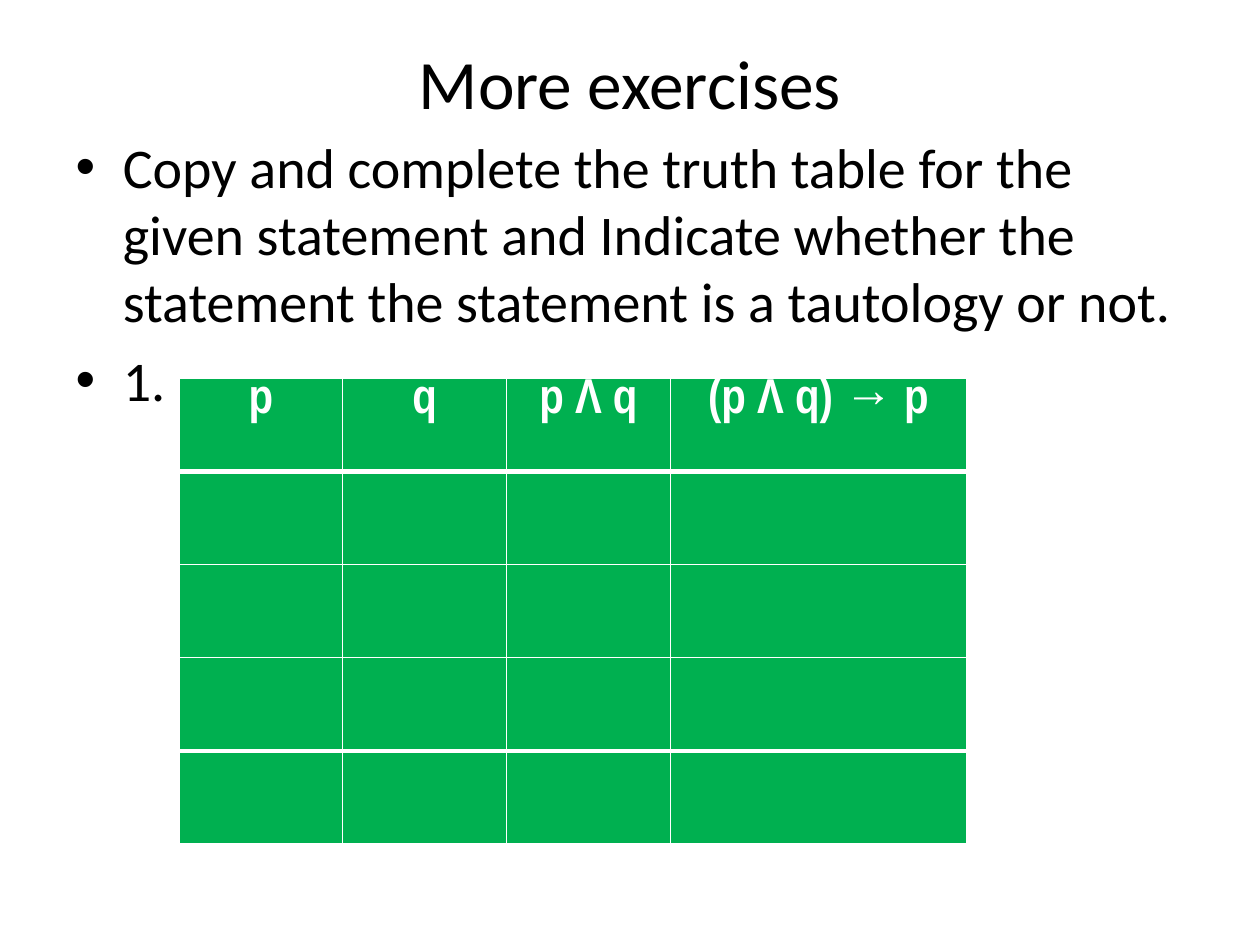
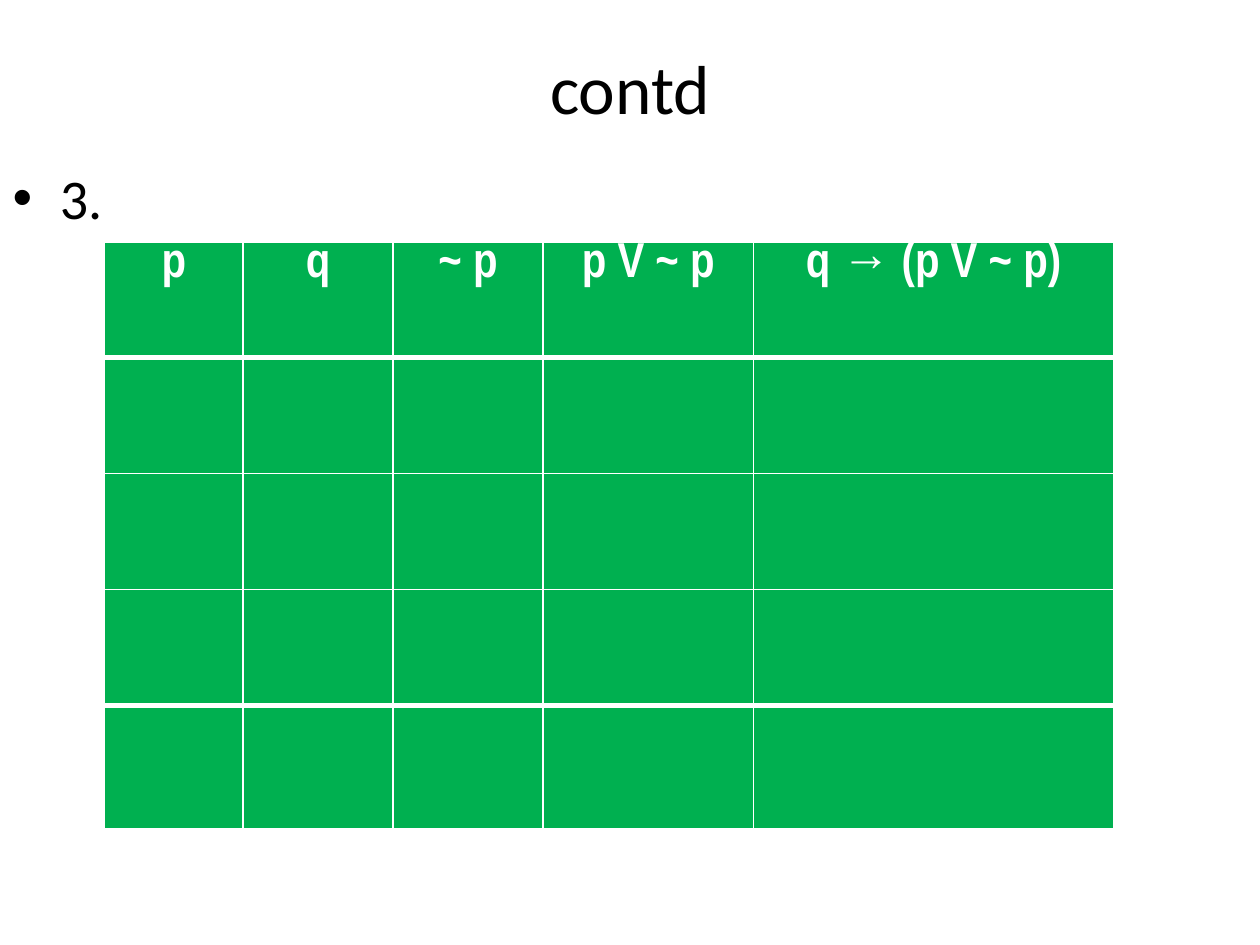
from lxml import etree
from pptx import Presentation
from pptx.dml.color import RGBColor
from pptx.enum.text import MSO_ANCHOR as Anchor, MSO_AUTO_SIZE as AutoSize, PP_ALIGN as Align
from pptx.oxml.ns import qn
from pptx.util import Inches, Pt

BLACK, WHITE, GREEN = "000000", "FFFFFF", "00B050"
ROW_COUNT = 5
THIN, THICK = 1, 3

EXERCISES = [
    {
        "title": "More exercises",
        "title_box": (0.5, 0.3, 9, 0.7),
        "bullets": [
            "Copy and complete the truth table for the given statement and "
            "Indicate whether the statement the statement is a tautology or not.",
            "1.",
        ],
        "body_box": (0.5, 1, 9, 5.7),
        "table_corner": (1.42, 3),
        "headings": ["p", "q", "p Λ q", "(p Λ q) → p"],
        "column_widths": [1.3, 1.3, 1.3, 2.35],
        "row_heights": [0.74] * ROW_COUNT,
    },
    {
        "title": "contd",
        "title_box": (0.5, 0.3, 9, 0.78),
        "bullets": ["3."],
        "body_box": (0, 1.25, 10, 6.25),
        "table_corner": (0.83, 1.92),
        "headings": ["p", "q", "~ p", "p V ~ p", "q → (p V ~ p)"],
        "column_widths": [1.1, 1.19, 1.19, 1.67, 2.86],
        "row_heights": [0.92] * (ROW_COUNT - 1) + [0.98],
    },
]


def write(paragraph, text, size, font="Calibri", color=BLACK, bold=False, align=None):
    paragraph.alignment = align
    run = paragraph.add_run()
    run.text = text
    run.font.size = Pt(size)
    run.font.name = font
    run.font.bold = bold
    run.font.color.rgb = RGBColor.from_string(color)


def add_border(cell, side, width):
    """Draw one side (L, R, T or B) of a cell in white."""
    properties = cell._tc.get_or_add_tcPr()
    line = etree.SubElement(properties, qn(f"a:ln{side}"), w=str(Pt(width)))
    fill = etree.SubElement(line, qn("a:solidFill"))
    etree.SubElement(fill, qn("a:srgbClr"), val=WHITE)


presentation = Presentation()
presentation.slide_width = Inches(10)
presentation.slide_height = Inches(7.5)
title_and_content = presentation.slide_layouts[1]

for exercise in EXERCISES:
    slide = presentation.slides.add_slide(title_and_content)
    title, body = slide.placeholders
    for shape, box in ((title, exercise["title_box"]), (body, exercise["body_box"])):
        shape.left, shape.top, shape.width, shape.height = map(Inches, box)
        shape.text_frame.word_wrap = True
        shape.text_frame.auto_size = AutoSize.NONE

    title.text_frame.vertical_anchor = Anchor.MIDDLE
    write(title.text_frame.paragraphs[0], exercise["title"], 39.6, align=Align.CENTER)

    for index, bullet in enumerate(exercise["bullets"]):
        frame = body.text_frame
        paragraph = frame.add_paragraph() if index else frame.paragraphs[0]
        write(paragraph, bullet, 32)

    widths, heights = exercise["column_widths"], exercise["row_heights"]
    left, top = exercise["table_corner"]
    table = slide.shapes.add_table(
        ROW_COUNT, len(widths),
        Inches(left), Inches(top), Inches(sum(widths)), Inches(sum(heights)),
    ).table
    for column, width in zip(table.columns, widths):
        column.width = Inches(width)

    # Thick rules lie below the heading row and above the last row
    thick_rules = (1, ROW_COUNT - 1)
    for row_index, (row, height) in enumerate(zip(table.rows, heights)):
        row.height = Inches(height)
        for cell in row.cells:
            add_border(cell, "L", THIN)
            add_border(cell, "R", THIN)
            add_border(cell, "T", THICK if row_index in thick_rules else THIN)
            add_border(cell, "B", THICK if row_index + 1 in thick_rules else THIN)
            cell.fill.solid()
            cell.fill.fore_color.rgb = RGBColor.from_string(GREEN)

    for cell, heading in zip(table.rows[0].cells, exercise["headings"]):
        cell.margin_left = cell.margin_right = Inches(0.07)
        cell.margin_top = cell.margin_bottom = 0
        write(cell.text_frame.paragraphs[0], heading, 28, font="Arial Narrow",
              color=WHITE, bold=True, align=Align.CENTER)

presentation.save("out.pptx")
